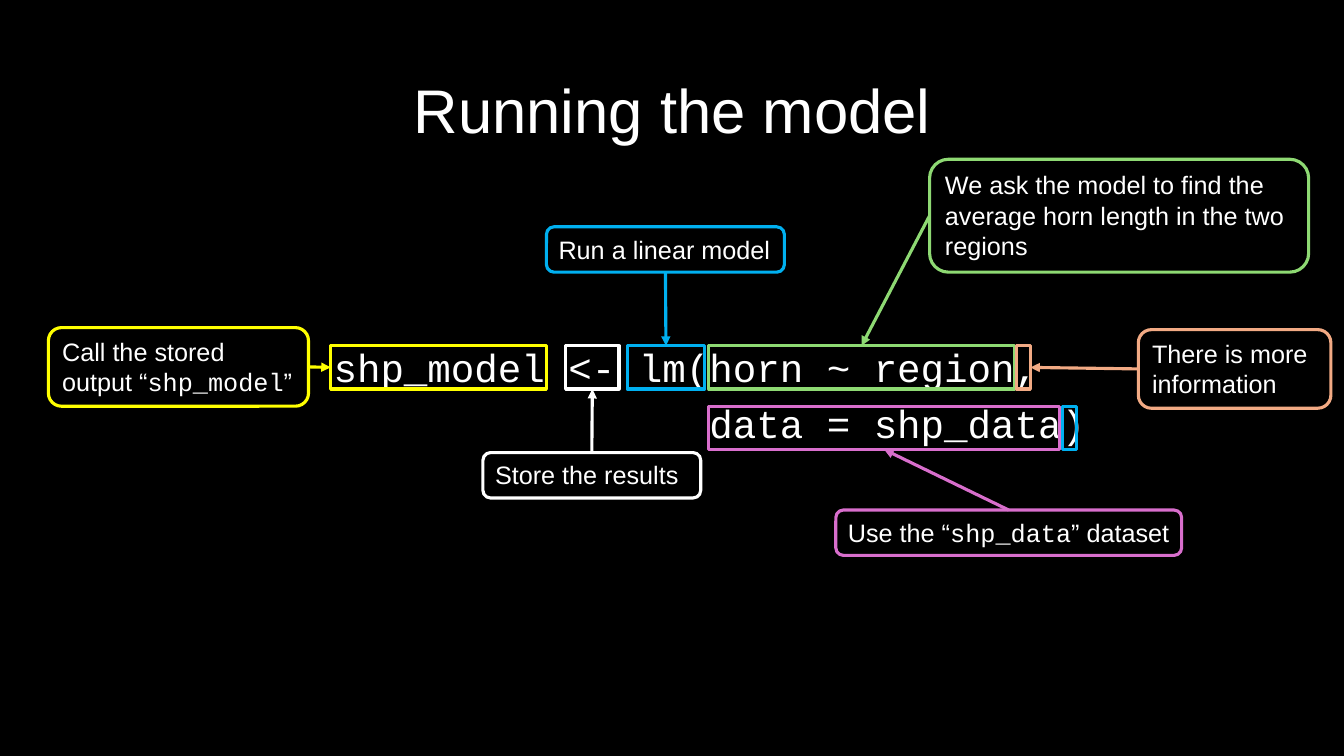
from lxml import etree
from pptx import Presentation
from pptx.dml.color import RGBColor
from pptx.enum.shapes import MSO_CONNECTOR as CONN, MSO_SHAPE as SHAPE
from pptx.enum.text import MSO_ANCHOR as ANCHOR, MSO_AUTO_SIZE as AUTO, PP_ALIGN as ALIGN
from pptx.oxml.ns import qn
from pptx.util import Inches, Pt

COLORS = {
    "black": "000000", "white": "FFFFFF", "yellow": "FFFF00", "blue": "00B0F0",
    "green": "8ED973", "purple": "D86ECC", "orange": "F2AA84",
}
SANS, MONO = "Arial", "Courier New"
TOP, LEFT, BOTTOM, RIGHT = range(4)
ROW_1, ROW_2, ROW_H = 3.43, 4.03, 0.43

# colour, code boxes (left, top, width), callout box, callout lines, sides joined
NOTES = [
    ("yellow", [(3.28, ROW_1, 2.14)], (0.48, 3.25, 2.58, 0.78),
     [["Call the stored "], ["output “", ("shp_model", MONO), "”"]], (RIGHT, LEFT)),
    ("white", [(5.61, ROW_1, 0.53)], (4.79, 4.49, 2.16, 0.45),
     [["Store the results"]], (TOP, BOTTOM)),
    ("blue", [(6.22, ROW_1, 0.77), (10.54, ROW_2, 0.14)], (5.42, 2.25, 2.36, 0.45),
     [["Run a linear model"]], (BOTTOM, TOP)),
    ("green", [(7.03, ROW_1, 3.03)], (9.22, 1.58, 3.76, 1.12),
     [["We ask the model to find the "], ["average horn length in the two"], ["regions"]],
     (LEFT, TOP)),
    ("purple", [(7.03, ROW_2, 3.48)], (8.29, 5.06, 3.43, 0.45),
     [["Use the “", ("shp_data", MONO), "” dataset"]], (TOP, BOTTOM)),
    ("orange", [(10.08, ROW_1, 0.14)], (11.29, 3.27, 1.91, 0.78),
     [["There is more "], ["information"]], (LEFT, RIGHT)),
]


def rgb(name):
    return RGBColor.from_string(COLORS[name])


def add_run(p, text, font=SANS, size=18, color="white"):
    r = p.add_run()
    r.text = text
    r.font.name, r.font.size = font, Pt(size)
    r.font.color.rgb = rgb(color)


def add_text(s, box, lines, align=ALIGN.LEFT, anchor=ANCHOR.TOP, gap=0, **fmt):
    """Text box with one paragraph per line."""
    tf = s.shapes.add_textbox(*map(Inches, box)).text_frame
    tf.word_wrap, tf.vertical_anchor = True, anchor
    for i, line in enumerate(lines):
        p = tf.add_paragraph() if i else tf.paragraphs[0]
        p.alignment, p.line_spacing = align, 0.9
        if i:
            p.space_before = Pt(gap)
        add_run(p, line, **fmt)


def outline(group, kind, box, color):
    sp = group.shapes.add_shape(kind, *map(Inches, box))
    sp.shadow.inherit = False
    sp.fill.background()
    sp.line.color.rgb, sp.line.width = rgb(color), Pt(2.25)
    return sp


def callout(group, box, lines, color):
    sp = outline(group, SHAPE.ROUNDED_RECTANGLE, box, color)
    tf = sp.text_frame
    tf.word_wrap, tf.auto_size = False, AUTO.SHAPE_TO_FIT_TEXT
    tf.vertical_anchor = ANCHOR.TOP
    p = tf.paragraphs[0]
    p.alignment = ALIGN.LEFT
    for i, line in enumerate(lines):
        if i:
            p.add_line_break()
        for part in line:
            text, font = (part, SANS) if isinstance(part, str) else part
            add_run(p, text, font)
    return sp


def arrow(group, start, end, sides, color):
    c = group.shapes.add_connector(
        CONN.STRAIGHT, start.left, start.top, end.left, end.top)
    c.begin_connect(start, sides[0])
    c.end_connect(end, sides[1])
    c.line.color.rgb, c.line.width = rgb(color), Pt(2.25)
    etree.SubElement(c.line._get_or_add_ln(), qn("a:tailEnd"), type="triangle")
    etree.SubElement(c._element.spPr, qn("a:effectLst"))


def note(s, color, code_boxes, box, lines, sides):
    """Code frames, their callout and the arrow from it to the first frame."""
    group = s.shapes.add_group_shape()
    frames = [outline(group, SHAPE.RECTANGLE, (*place, ROW_H), color)
              for place in code_boxes]
    arrow(group, callout(group, box, lines, color), frames[0], sides, color)


def model_slide(prs):
    s = prs.slides.add_slide(prs.slide_layouts[6])
    s.background.fill.solid()
    s.background.fill.fore_color.rgb = rgb("black")
    add_text(s, (0.92, 0.4, 11.5, 1.45), ["Running the model"],
             align=ALIGN.CENTER, anchor=ANCHOR.MIDDLE, size=44)
    add_text(s, (3.21, 3.41, 8.51, 3.88),
             ["shp_model <- lm(horn ~ region,",
              "                data = shp_data)"],
             gap=10, font=MONO, size=28)
    for item in NOTES:
        note(s, *item)


def main():
    prs = Presentation()
    prs.slide_width, prs.slide_height = Inches(13.33), Inches(7.5)
    model_slide(prs)
    prs.save("out.pptx")


if __name__ == "__main__":
    main()
